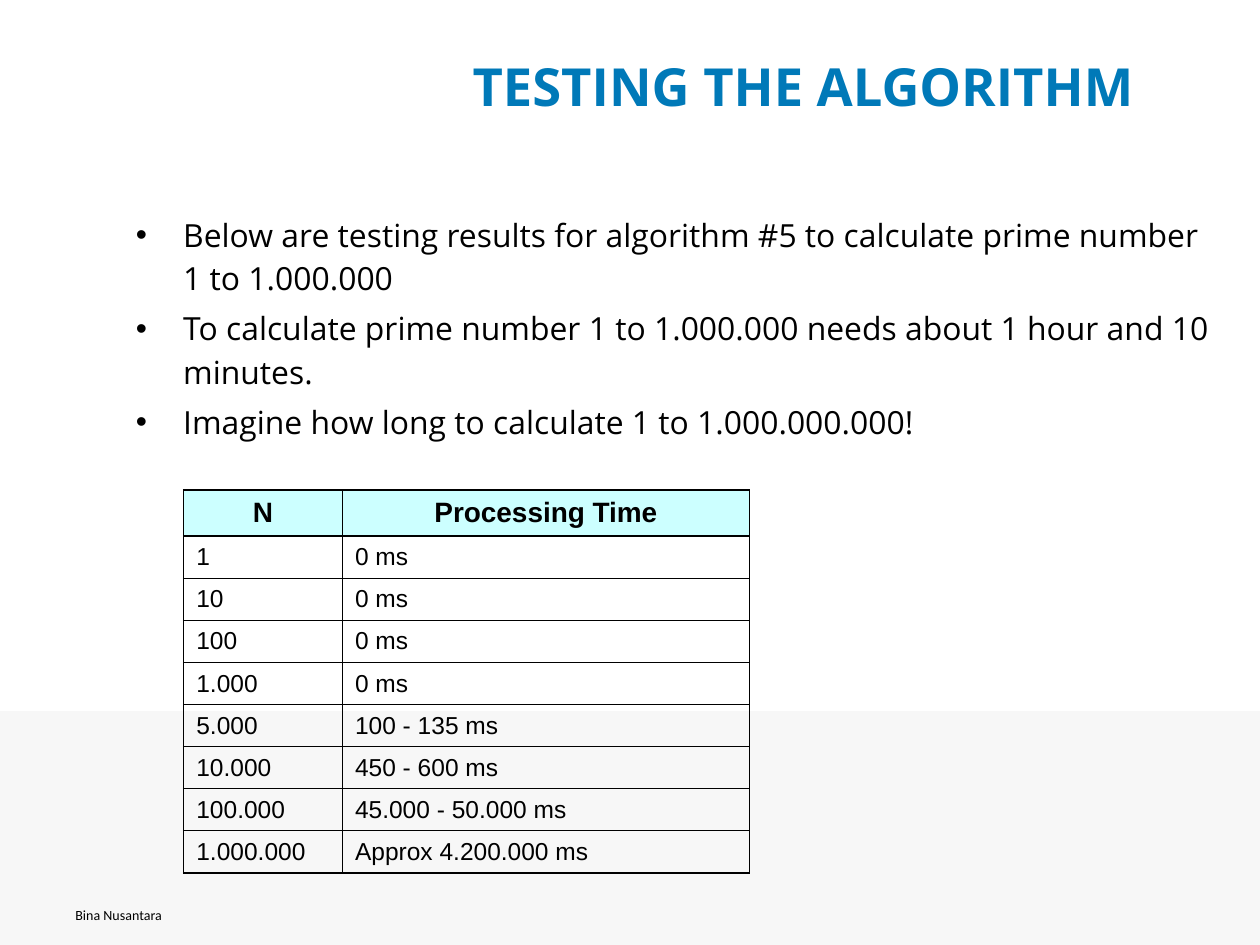
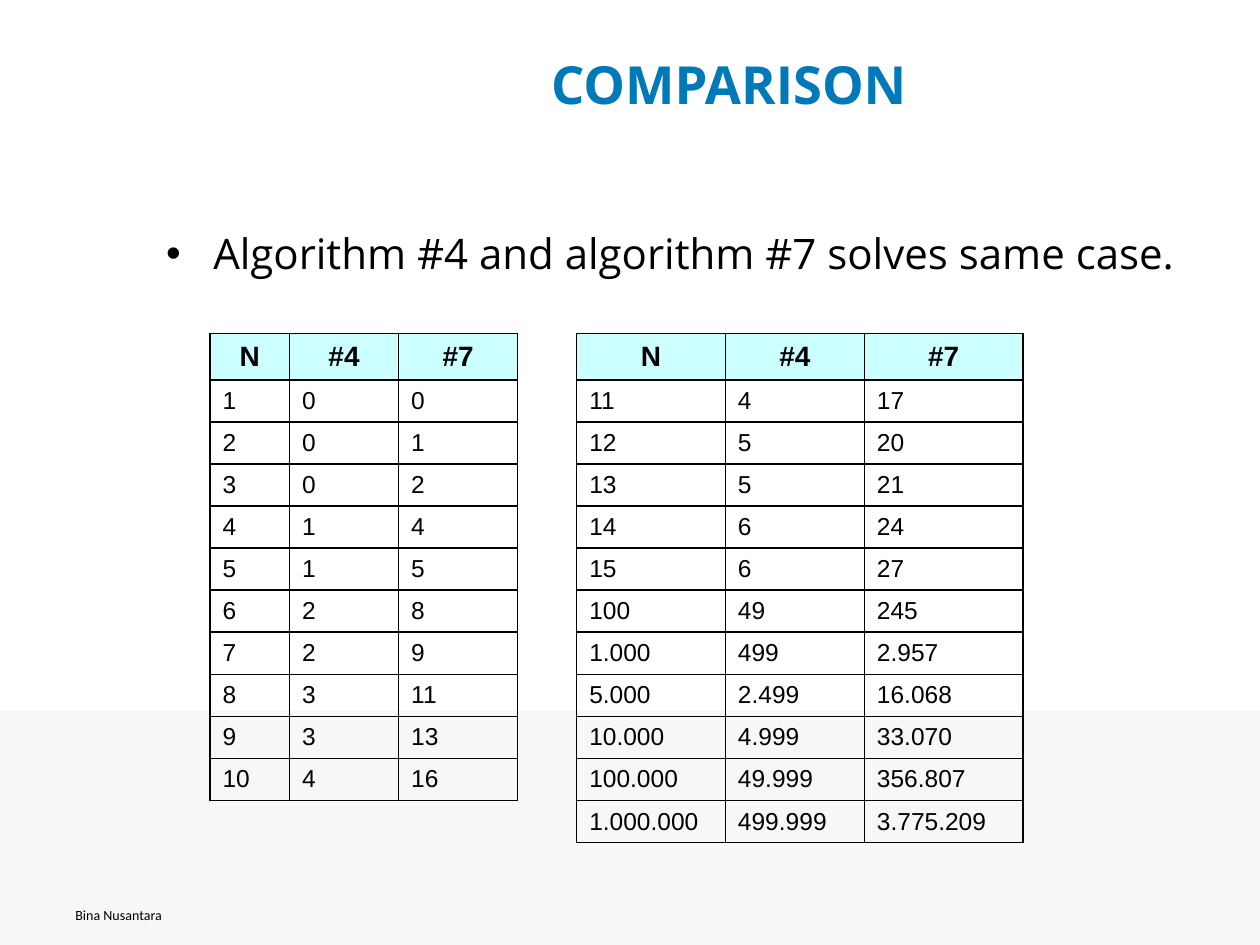
from lxml.etree import SubElement
from pptx import Presentation
from pptx.dml.color import RGBColor
from pptx.enum.shapes import MSO_SHAPE
from pptx.enum.text import MSO_ANCHOR, PP_ALIGN
from pptx.oxml.ns import qn
from pptx.util import Pt

RECTANGLE = MSO_SHAPE.RECTANGLE
MIDDLE, TOP = MSO_ANCHOR.MIDDLE, MSO_ANCHOR.TOP
LEFT, CENTER = PP_ALIGN.LEFT, PP_ALIGN.CENTER

WHITE = RGBColor(0xFF, 0xFF, 0xFF)
BLACK = RGBColor(0, 0, 0)
BLUE = RGBColor(0x00, 0x79, 0xB8)
BAND_GRAY = RGBColor(0xF7, 0xF7, 0xF7)
HEADER_CYAN = RGBColor(0xCC, 0xFF, 0xFF)

HEADING_FONT, TABLE_FONT, FOOTER_FONT = "Open Sans", "Arial", "Calibri"
PAGE_WIDTH, PAGE_HEIGHT = 720, 540
BAND_TOP = 406.3
TITLE_WIDTH, TITLE_HEIGHT = 680.4, 45.4
INDENT = 27
HEADER_HEIGHT, ROW_HEIGHT = 26.4, 24
HEADER_SIZE, CELL_SIZE = 16, 14

TIMES = [
    ("N", "Processing Time"),
    ("1", "0 ms"),
    ("10", "0 ms"),
    ("100", "0 ms"),
    ("1.000", "0 ms"),
    ("5.000", "100 - 135 ms"),
    ("10.000", "450 - 600 ms"),
    ("100.000", "45.000 - 50.000 ms"),
    ("1.000.000", "Approx 4.200.000 ms"),
]
COUNTS = [
    ("N", "#4", "#7", "", "N", "#4", "#7"),
    ("1", "0", "0", "", "11", "4", "17"),
    ("2", "0", "1", "", "12", "5", "20"),
    ("3", "0", "2", "", "13", "5", "21"),
    ("4", "1", "4", "", "14", "6", "24"),
    ("5", "1", "5", "", "15", "6", "27"),
    ("6", "2", "8", "", "100", "49", "245"),
    ("7", "2", "9", "", "1.000", "499", "2.957"),
    ("8", "3", "11", "", "5.000", "2.499", "16.068"),
    ("9", "3", "13", "", "10.000", "4.999", "33.070"),
    ("10", "4", "16", "", "100.000", "49.999", "356.807"),
    ("", "", "", "", "1.000.000", "499.999", "3.775.209"),
]


def has_text(rows, row, column):
    inside = 0 <= row < len(rows) and 0 <= column < len(rows[0])
    return inside and rows[row][column] != ""


class Deck:
    """Holds the presentation, its style and the page being filled."""

    def __init__(self):
        self.deck = Presentation()
        self.deck.slide_width, self.deck.slide_height = Pt(PAGE_WIDTH), Pt(PAGE_HEIGHT)
        self.page = None

    def add_page(self, title, title_left, title_top):
        self.page = self.deck.slides.add_slide(self.deck.slide_layouts[6])
        background = self.page.background.fill
        background.solid()
        background.fore_color.rgb = WHITE
        self.add_band()
        footer = self.add_box(36, 508.3, 167.8, 28.8, MIDDLE)
        self.add_span(footer.paragraphs[0], "Bina Nusantara", FOOTER_FONT, 8)
        heading = self.add_box(title_left, title_top, TITLE_WIDTH, TITLE_HEIGHT, MIDDLE)
        heading.paragraphs[0].alignment = CENTER
        self.add_span(heading.paragraphs[0], title, HEADING_FONT, 30, BLUE, bold=True)

    def add_band(self):
        band = self.page.shapes.add_shape(
            RECTANGLE, 0, Pt(BAND_TOP), Pt(PAGE_WIDTH), Pt(PAGE_HEIGHT - BAND_TOP))
        band.shadow.inherit = False
        band.fill.solid()
        band.fill.fore_color.rgb = BAND_GRAY
        band.line.fill.background()

    def add_box(self, left, top, width, height, anchor):
        box = self.page.shapes.add_textbox(Pt(left), Pt(top), Pt(width), Pt(height))
        frame = box.text_frame
        frame.word_wrap = True
        frame.vertical_anchor = anchor
        return frame

    def add_span(self, para, text, font, size, color=BLACK, bold=False):
        span = para.add_run()
        span.text = text
        span.font.name, span.font.size, span.font.bold = font, Pt(size), bold
        span.font.color.rgb = color

    def hang(self, para):
        """Sets a hanging indent and returns the paragraph properties."""
        properties = para._p.get_or_add_pPr()
        properties.set("marL", str(Pt(INDENT)))
        properties.set("indent", str(-Pt(INDENT)))
        return properties

    def add_bullets(self, texts, left, top, width, height, size, line_spacing=1.0):
        frame = self.add_box(left, top, width, height, TOP)
        for index, text in enumerate(texts):
            para = frame.paragraphs[0] if index == 0 else frame.add_paragraph()
            properties = self.hang(para)
            SubElement(properties, qn("a:buFont"), typeface=TABLE_FONT)
            SubElement(properties, qn("a:buChar"), char="•")
            para.line_spacing = line_spacing
            if index:
                para.space_before = Pt(0.2 * size)
            self.add_span(para, text, HEADING_FONT, size)

    def add_table(self, rows, left, top, widths):
        height = HEADER_HEIGHT + ROW_HEIGHT * (len(rows) - 1)
        table = self.page.shapes.add_table(
            len(rows), len(widths), Pt(left), Pt(top), Pt(sum(widths)), Pt(height)).table
        table.first_row = table.horz_banding = False
        for column, width in zip(table.columns, widths):
            column.width = Pt(width)
        for row_index, values in enumerate(rows):
            is_header = row_index == 0
            table.rows[row_index].height = Pt(HEADER_HEIGHT if is_header else ROW_HEIGHT)
            for column_index, text in enumerate(values):
                cell = table.cell(row_index, column_index)
                self.set_borders(cell, rows, row_index, column_index)
                self.fill_cell(cell, text, is_header)

    def fill_cell(self, cell, text, is_header):
        cell.vertical_anchor = MIDDLE
        para = cell.text_frame.paragraphs[0]
        if text:
            self.hang(para)
            para.alignment = CENTER if is_header else LEFT
            size = HEADER_SIZE if is_header else CELL_SIZE
            self.add_span(para, text, TABLE_FONT, size, bold=is_header)
        else:
            SubElement(para._p, qn("a:endParaRPr"), sz=str(CELL_SIZE * 100))
        if text and is_header:
            cell.fill.solid()
            cell.fill.fore_color.rgb = HEADER_CYAN
        else:
            cell.fill.background()

    def set_borders(self, cell, rows, row, column):
        """Draws each edge that touches a cell with text and hides the others."""
        neighbours = {
            "a:lnL": (row, column - 1),
            "a:lnR": (row, column + 1),
            "a:lnT": (row - 1, column),
            "a:lnB": (row + 1, column),
        }
        properties = cell._tc.get_or_add_tcPr()
        for tag, neighbour in neighbours.items():
            line = SubElement(properties, qn(tag), w=str(Pt(1)))
            if has_text(rows, row, column) or has_text(rows, *neighbour):
                fill = SubElement(line, qn("a:solidFill"))
                SubElement(fill, qn("a:srgbClr"), val=str(BLACK))
            else:
                SubElement(line, qn("a:noFill"))


def main():
    show = Deck()

    show.add_page("TESTING THE ALGORITHM", 118.8, 25.9)
    show.add_bullets(
        ["Below are testing results for algorithm #5 to calculate prime number 1 to 1.000.000",
         "To calculate prime number 1 to 1.000.000 needs about 1 hour and 10 minutes.",
         "Imagine how long to calculate 1 to 1.000.000.000!"],
        70.6, 116.6, 629.3, 162.7, 18.2, line_spacing=1.14)
    show.add_table(TIMES, 105, 280, [90.7, 232.6])

    show.add_page("COMPARISON", 76.3, 25.2)
    show.add_bullets(["Algorithm #4 and algorithm #7 solves same case."],
                     87.8, 126.7, 680.4, 183.6, 24)
    show.add_table(COUNTS, 120, 190.6, [45.4, 62.4, 68, 33.8, 85, 79.4, 90.7])

    show.deck.save("out.pptx")


if __name__ == "__main__":
    main()
